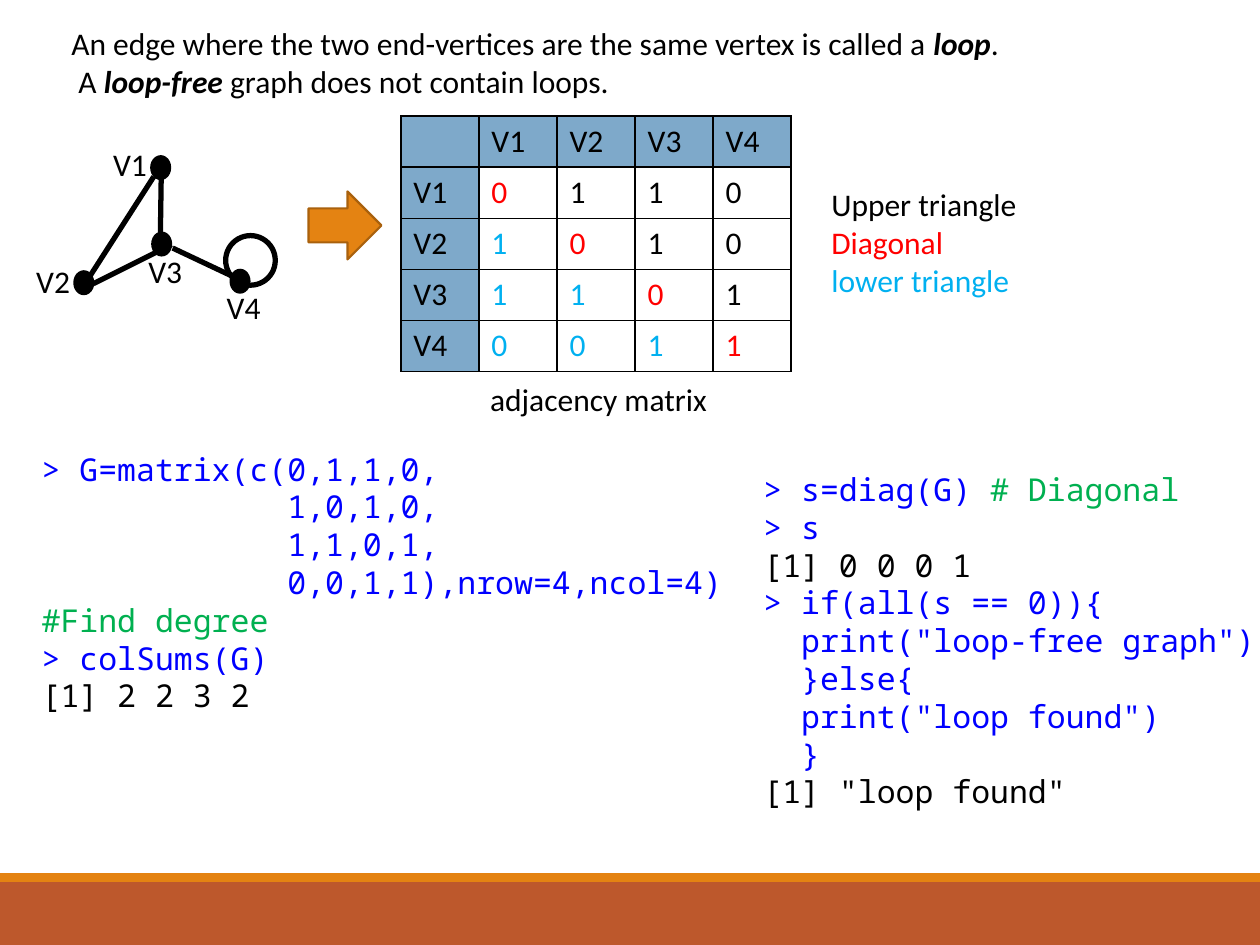
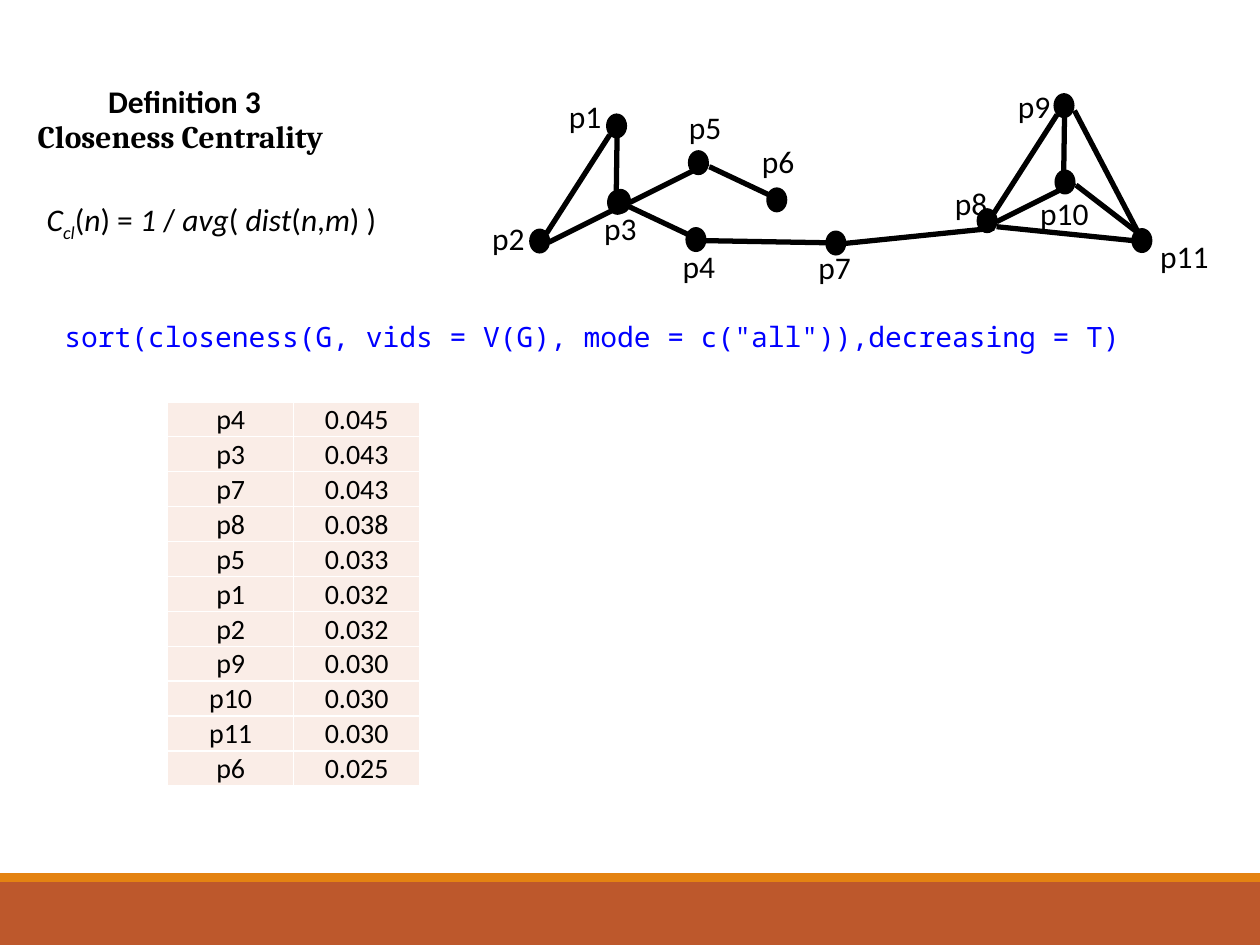
from lxml.etree import SubElement
from pptx import Presentation
from pptx.dml.color import RGBColor as Rgb
from pptx.enum.shapes import MSO_CONNECTOR as Link, MSO_SHAPE as Kind
from pptx.enum.text import MSO_ANCHOR as Anchor, MSO_AUTO_SIZE as Auto, PP_ALIGN as Align
from pptx.oxml.ns import qn
from pptx.util import Cm, Pt

HUES = {
    "black": "000000", "white": "FFFFFF", "red": "FF0000", "cyan": "00B0F0",
    "blue": "0000FF", "green": "00B050", "rust": "BD582C", "orange": "E48312",
    "brown": "A9610D", "steel": "7EA9CA", "blush": "FAEDE7",
}
BODY, SERIF, MONO = "Calibri", "Cambria", "Noto Sans Mono"

# Four vertices and the edges between them, in cm from the corner of the graph
DOTS = {"top": (1.55, 0), "hub": (1.57, 1.54), "right": (3.15, 2.29), "left": (0, 2.32)}
EDGES = {
    "top-left": (1.6, 0.41, 0.33, 2.39),
    "top-hub": (1.75, 0.41, 1.73, 1.78),
    "hub-left": (1.96, 1.78, 0.38, 2.57),
    "hub-right": (3.23, 2.44, 1.98, 1.85),
}
DOT_W, DOT_H = 0.38, 0.46


def hue(name):
    return Rgb.from_string(HUES[name])


def shape(shapes, kind, box, fill=None, line=None, width=1.25):
    item = shapes.add_shape(kind, *map(Cm, box))
    item.shadow.inherit = False
    if fill:
        item.fill.solid()
        item.fill.fore_color.rgb = hue(fill)
    else:
        item.fill.background()
    if line:
        item.line.color.rgb = hue(line)
        item.line.width = Pt(width)
    else:
        item.line.fill.background()


def edge(shapes, left, top, ends):
    x1, y1, x2, y2 = ends
    item = shapes.add_connector(
        Link.STRAIGHT, Cm(left + x1), Cm(top + y1), Cm(left + x2), Cm(top + y2))
    item.line.color.rgb = hue("black")
    item.line.width = Pt(3)
    SubElement(item._element.spPr, qn("a:effectLst"))


def dot(shapes, left, top):
    shape(shapes, Kind.OVAL, (left, top, DOT_W, DOT_H), "black", "black")


def style(run, color="black", marks="", font=BODY, size=18):
    """Format a run; marks holds b (bold), i (italic) and s (subscript)."""
    run.font.name = font
    run.font.size = Pt(size)
    run.font.color.rgb = hue(color)
    run.font.bold = "b" in marks
    run.font.italic = "i" in marks
    if "s" in marks:
        run.font._element.set("baseline", "-25000")


def write(frame, lines, font=BODY, size=18):
    """Fill a frame; each line is a list of (text, colour, marks) parts."""
    for i, parts in enumerate(lines):
        para = frame.add_paragraph() if i else frame.paragraphs[0]
        para.text = parts[0][0]
        for part in parts[1:]:
            para.add_run().text = part[0]
        for run, part in zip(para.runs, parts):
            style(run, *part[1:], font=font, size=size)


def text(slide, box, lines, font=BODY, wrap=False):
    frame = slide.shapes.add_textbox(*map(Cm, box)).text_frame
    frame.word_wrap = wrap
    frame.auto_size = Auto.SHAPE_TO_FIT_TEXT
    write(frame, lines, font)


def code(slide, box, lines, size=18):
    """Place code on white; each line is its indent in letters, then its parts."""
    item = slide.shapes.add_textbox(*map(Cm, box))
    item.fill.solid()
    item.fill.fore_color.rgb = hue("white")
    frame = item.text_frame
    frame.margin_left = frame.margin_right = frame.margin_top = frame.margin_bottom = 0
    frame.word_wrap = False
    frame.auto_size = Auto.SHAPE_TO_FIT_TEXT
    frame.vertical_anchor = Anchor.MIDDLE
    write(frame, [parts for _, *parts in lines], MONO, size)
    for para, (indent, *_) in zip(frame.paragraphs, lines):
        if indent:
            para._p.get_or_add_pPr().set("marL", str(Pt(indent * size * 0.6)))


def graph(slide, left, top, dots=DOTS, edges=EDGES):
    shapes = slide.shapes.add_group_shape().shapes
    for x, y in dots.values():
        dot(shapes, left + x, top + y)
    for ends in edges.values():
        edge(shapes, left, top, ends)


def labels(slide, left, top, names):
    for name, (x, y) in names.items():
        wide = 1.55 if len(name) > 2 else 1.25
        text(slide, (left + x, top + y, wide, 1.02), [[(name,)]])


def border(cell, color):
    props = cell._tc.get_or_add_tcPr()
    for i, side in enumerate(("lnL", "lnR", "lnT", "lnB")):
        line = props.makeelement(qn("a:" + side), {"w": str(Pt(1))})
        fill = SubElement(line, qn("a:solidFill"))
        SubElement(fill, qn("a:srgbClr"), val=HUES[color])
        props.insert(i, line)


def grid(slide, box, rows, look, line, size=18, tight=False):
    """Draw a table; look(row, col) gives the fill and text colour of a cell."""
    left, top, width, height = box
    count, across = len(rows), len(rows[0])
    table = slide.shapes.add_table(count, across, *map(Cm, box)).table
    table.first_row = table.horz_banding = False
    for row in table.rows:
        row.height = Cm(height / count)
    for col in table.columns:
        col.width = Cm(width / across)
    for r, row in enumerate(rows):
        for c, value in enumerate(row):
            cell = table.cell(r, c)
            fill, color = look(r, c)
            cell.fill.solid()
            cell.fill.fore_color.rgb = hue(fill)
            border(cell, line)
            if tight:
                cell.margin_left = cell.margin_right = cell.margin_top = Cm(0.02)
                cell.margin_bottom = 0
                cell.vertical_anchor = Anchor.MIDDLE
            write(cell.text_frame, [[(value, color)]], size=size)
            if tight:
                cell.text_frame.paragraphs[0].alignment = Align.CENTER


def bands(slide):
    shape(slide.shapes, Kind.RECTANGLE, (0, 17.78, 25.4, 1.27), "rust")
    shape(slide.shapes, Kind.RECTANGLE, (0, 17.6, 25.4, 0.18), "orange")


def matrix(slide, box):
    names = ["V1", "V2", "V3", "V4"]
    links = ["0110", "1010", "1101", "0011"]
    rows = [["", *names]] + [[name, *link] for name, link in zip(names, links)]

    def look(r, c):
        if r == 0 or c == 0:
            return "steel", "black"
        return "white", "red" if r == c else "cyan" if r > c else "black"

    grid(slide, box, rows, look, "black")


def loops(slide):
    bands(slide)
    text(slide, (1.19, 0.36, 21.82, 1.8), [
        [("An edge where the two end-vertices are the same vertex is called a ",),
         ("loop", "black", "bi"), (".",)],
        [(" A ",), ("loop-free ", "black", "bi"), ("graph does not contain loops.",)],
    ], wrap=True)
    shape(slide.shapes, Kind.RIGHT_ARROW, (6.22, 3.86, 1.47, 1.37), "orange", "brown")
    matrix(slide, (8.08, 2.34, 7.87, 5.15))
    left, top = 1.5, 3.15
    graph(slide, left, top)
    labels(slide, left, top, {
        "V1": (0.53, -0.36), "V2": (-1.02, 2.01), "V3": (1.24, 1.8), "V4": (2.82, 2.54)})
    shape(slide.shapes, Kind.OVAL, (left + 3.05, top + 1.6, 1, 1), line="black", width=3)
    text(slide, (16.51, 3.61, 4.29, 2.57), [
        [("Upper triangle",)], [("Diagonal", "red")], [("lower triangle", "cyan")]])
    text(slide, (9.63, 7.54, 4.93, 1.02), [[("adjacency matrix",)]])
    code(slide, (0.84, 9.04, 13.94, 5.38), [
        (0, ("> G=matrix(c(0,1,1,0,", "blue")),
        (13, ("1,0,1,0,", "blue")),
        (13, ("1,1,0,1,", "blue")),
        (13, ("0,0,1,1),nrow=4,ncol=4)", "blue")),
        (0, ("#Find degree", "green")),
        (0, ("> colSums(G)", "blue")),
        (0, ("[1] 2 2 3 2",)),
    ])
    code(slide, (15.39, 9.44, 10.08, 6.93), [
        (0, ("> s=diag(G) ", "blue"), ("# Diagonal", "green")),
        (0, ("> s", "blue")),
        (0, ("[1] 0 0 0 1",)),
        (0, ("> if(all(s == 0)){", "blue")),
        (2, ('print("loop-free graph")', "blue")),
        (2, ("}else{", "blue")),
        (2, ('print("loop found")', "blue")),
        (2, ("}", "blue")),
        (0, ('[1] "loop found"',)),
    ])


def network(slide, left, top):
    """Draw p1 to p11 as three small graphs joined through p7."""
    graph(slide, left, top)
    graph(slide, left + 9.02, top - 0.41,
          DOTS | {"right": (3.12, 2.72)}, EDGES | {"hub-right": (3.2, 2.77, 1.98, 1.83)})
    graph(slide, left + 1.63, top - 0.8,
          {key: DOTS[key] for key in ("hub", "right", "left")},
          {key: EDGES[key] for key in ("hub-left", "hub-right")})
    dot(slide.shapes, left + 5.97, top + 2.36)
    for ends in ((6.35, 2.59, 3.4, 2.54), (9.35, 2.29, 6.12, 2.62),
                 (10.97, -0.08, 12.34, 2.54), (9.4, 2.26, 12.14, 2.54)):
        edge(slide.shapes, left, top, ends)
    labels(slide, left, top, {
        "p1": (0.53, -0.48), "p2": (-1.02, 1.98), "p3": (1.24, 1.78), "p4": (2.82, 2.54),
        "p5": (2.95, -0.25), "p6": (4.42, 0.43), "p7": (5.56, 2.57), "p8": (8.31, 1.27),
        "p9": (9.58, -0.69), "p10": (10.03, 1.47), "p11": (12.45, 2.34)})


def scores(slide, box):
    rows = [
        ("p4", "0.045"), ("p3", "0.043"), ("p7", "0.043"), ("p8", "0.038"),
        ("p5", "0.033"), ("p1", "0.032"), ("p2", "0.032"), ("p9", "0.030"),
        ("p10", "0.030"), ("p11", "0.030"), ("p6", "0.025"),
    ]
    grid(slide, box, rows, lambda r, c: ("blush", "black"), "white", 16, True)


def closeness(slide):
    bands(slide)
    text(slide, (0.51, 2.24, 6.86, 1.02),
         [[("Closeness Centrality", "black", "b")]], SERIF)
    scores(slide, (3.38, 8.1, 5.08, 7.75))
    network(slide, 10.69, 2.31)
    parts = [("C", "i"), ("cl", "is"), ("(", ""), ("n", "i"), (") = ", ""), ("1", "i"),
             (" / ", ""), ("avg", "i"), ("( ", ""), ("dist", "i"), ("(", ""), ("n", "i"),
             (",", ""), ("m", "i"), (") )", "")]
    text(slide, (0.69, 3.91, 7.29, 1.02), [[(part, "black", marks) for part, marks in parts]])
    code(slide, (1.3, 6.43, 21.59, 0.69), [
        (0, ('sort(closeness(G, vids = V(G), mode = c("all")),decreasing = T)', "blue"))], 16)
    text(slide, (1.93, 1.52, 3.63, 1.02), [[("Definition 3", "black", "b")]])


def main():
    deck = Presentation()
    deck.slide_width, deck.slide_height = Cm(25.4), Cm(19.05)
    for build in (loops, closeness):
        build(deck.slides.add_slide(deck.slide_layouts[6]))
    deck.save("out.pptx")


if __name__ == "__main__":
    main()
